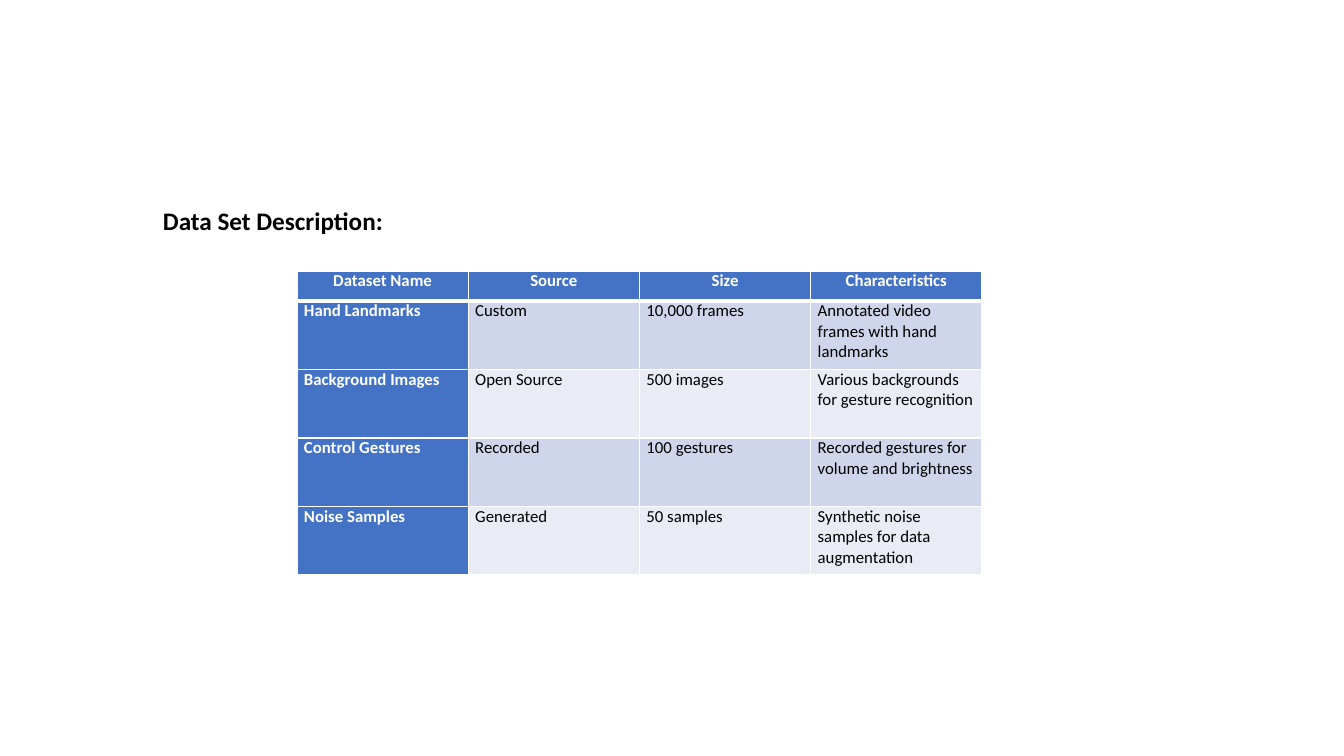
from lxml import etree
from pptx import Presentation
from pptx.dml.color import RGBColor
from pptx.enum.text import PP_ALIGN
from pptx.oxml.ns import qn
from pptx.util import Pt

LEFT, CENTER = PP_ALIGN.LEFT, PP_ALIGN.CENTER
SCALE = 914400 / 100.8
FONT = "Calibri"
WHITE, BLACK, BLUE = "FFFFFF", "000000", "4472C4"
BANDS = ("CFD5EA", "E9EBF5")

ROWS = [
    ("Dataset Name", "Source", "Size", "Characteristics"),
    ("Hand Landmarks", "Custom", "10,000 frames",
     "Annotated video frames with hand landmarks"),
    ("Background Images", "Open Source", "500 images",
     "Various backgrounds for gesture recognition"),
    ("Control Gestures", "Recorded", "100 gestures",
     "Recorded gestures for volume and brightness"),
    ("Noise Samples", "Generated", "50 samples",
     "Synthetic noise samples for data augmentation"),
]


def px(n):
    return round(n * SCALE)


def color(code):
    return RGBColor.from_string(code)


def style(target, **values):
    for name, value in values.items():
        setattr(target, name, value)


def write(para, text, size, bold, ink):
    run = para.add_run()
    run.text = text
    style(run.font, name=FONT, size=Pt(size), bold=bold)
    run.font.color.rgb = color(ink)


def edge(cell, side, width):
    """Draw one white border; borders must precede the cell's fill."""
    line = etree.SubElement(cell._tc.get_or_add_tcPr(), qn(f"a:ln{side}"),
                            w=str(Pt(width)))
    fill = etree.SubElement(line, qn("a:solidFill"))
    etree.SubElement(fill, qn("a:srgbClr"), val=WHITE)


def heading(slide, box, text):
    frame = slide.shapes.add_textbox(*map(px, box)).text_frame
    frame.word_wrap = True
    para = frame.paragraphs[0]
    style(para, line_spacing=0.9, space_before=Pt(5))
    para._p.get_or_add_pPr().set("marL", str(px(50)))
    write(para, text, 18, True, BLACK)


def fill_cell(cell, text, row, col):
    head = row == 0
    key = head or col == 0
    style(cell, margin_left=px(7), margin_right=px(7),
          margin_top=0, margin_bottom=0)
    # Heavier rule between the header and the body
    for side, thick in (("L", False), ("R", False),
                        ("T", row == 1), ("B", head)):
        edge(cell, side, 3 if thick else 1)
    cell.fill.solid()
    cell.fill.fore_color.rgb = color(BLUE if key else BANDS[(row - 1) % 2])
    para = cell.text_frame.paragraphs[0]
    para.alignment = CENTER if head else LEFT
    write(para, text, 12, key, WHITE if key else BLACK)


def data_table(slide, box, rows, head_high):
    wide, high = box[2:]
    table = slide.shapes.add_table(len(rows), len(rows[0]),
                                   *map(px, box)).table
    style(table, first_row=True, first_col=True)
    for col in table.columns:
        col.width = px(wide / len(rows[0]))
    for i, row in enumerate(table.rows):
        row.height = px((high - head_high) / (len(rows) - 1) if i
                        else head_high)
    for i, row in enumerate(rows):
        for j, text in enumerate(row):
            fill_cell(table.cell(i, j), text, i, j)


def main():
    deck = Presentation()
    style(deck, slide_width=px(1344), slide_height=px(756))
    slide = deck.slides.add_slide(deck.slide_layouts[6])
    heading(slide, (103, 204, 1159, 480), "Data Set Description:")
    data_table(slide, (297, 271, 685, 304), ROWS, 30)
    deck.save("out.pptx")


if __name__ == "__main__":
    main()
